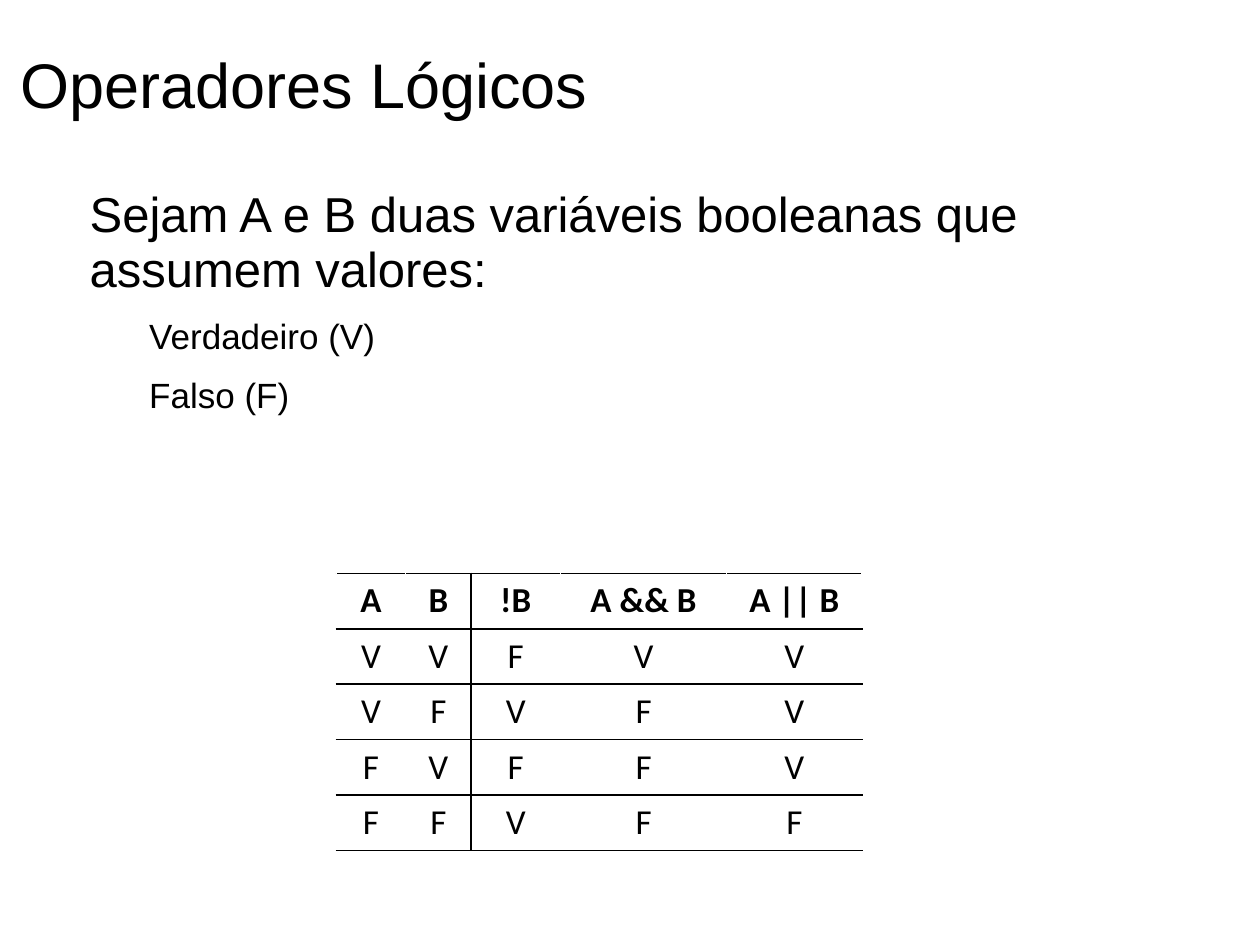
from itertools import product

from lxml import etree
from pptx import Presentation
from pptx.dml.color import RGBColor
from pptx.enum import text as t
from pptx.oxml import ns
from pptx.util import Pt

BLACK = RGBColor(0, 0, 0)
WHITE = RGBColor(255, 255, 255)

# Text, font size, left indent and space before
STATEMENTS = [
    ("Sejam A e B duas variáveis booleanas que assumem valores:", 28, 34, 14.1),
    ("Verdadeiro (V)", 20, 68, 11.3),
    ("Falso (F)", 20, 68, 11.3),
]
HEADERS = ["A", "B", "!B", "A && B", "A || B"]
COLUMN_WIDTHS = [39.6, 37.4, 51.1, 95, 77.4]
ROW_HEIGHT = 31.7
INPUT_COLUMNS = 2


def set_font(paragraph, name, size, bold=False):
    font = paragraph.font
    font.name, font.size, font.bold = name, Pt(size), bold
    font.color.rgb = BLACK


def clear_margins(frame):
    frame.margin_left = frame.margin_top = frame.margin_right = frame.margin_bottom = 0
    frame.word_wrap = True


def add_title(slide, title):
    shape = slide.shapes.title
    shape.left, shape.top, shape.width, shape.height = Pt(11.5), Pt(9.4), Pt(702.7), Pt(76.3)
    frame = shape.text_frame
    clear_margins(frame)
    frame.vertical_anchor = t.MSO_ANCHOR.MIDDLE
    frame.text = title
    paragraph = frame.paragraphs[0]
    paragraph.alignment = t.PP_ALIGN.LEFT
    set_font(paragraph, "Arial", 36)


def add_statements(slide):
    shape = slide.shapes.add_textbox(Pt(17.3), Pt(108), Pt(692), Pt(414))
    frame = shape.text_frame
    clear_margins(frame)
    for index, (words, size, indent, space) in enumerate(STATEMENTS):
        paragraph = frame.add_paragraph() if index else frame.paragraphs[0]
        paragraph.text = words
        paragraph.line_spacing = 0.93
        paragraph.space_before = Pt(space)
        paragraph._p.get_or_add_pPr().set("marL", str(Pt(indent)))
        set_font(paragraph, "Arial", size)


def set_border(cell, side, color):
    properties = cell._tc.get_or_add_tcPr()
    line = etree.SubElement(properties, ns.qn(f"a:ln{side}"), w=str(Pt(0.96)))
    fill = etree.SubElement(line, ns.qn("a:solidFill"))
    etree.SubElement(fill, ns.qn("a:srgbClr"), val=str(color))


def format_cell(cell, words, column, bold):
    cell.text = words
    paragraph = cell.text_frame.paragraphs[0]
    paragraph.alignment = t.PP_ALIGN.CENTER
    set_font(paragraph, "Calibri", 20, bold)
    # Only the rule between inputs and results is a visible vertical;
    # borders come before the fill in the cell properties
    set_border(cell, "L", BLACK if column == INPUT_COLUMNS else WHITE)
    set_border(cell, "R", BLACK if column == INPUT_COLUMNS - 1 else WHITE)
    set_border(cell, "T", BLACK)
    set_border(cell, "B", BLACK)
    cell.fill.solid()
    cell.fill.fore_color.rgb = WHITE


def truth_rows():
    for a, b in product([True, False], repeat=2):
        yield ["V" if value else "F" for value in (a, b, not b, a and b, a or b)]


def add_truth_table(slide):
    rows = [HEADERS, *truth_rows()]
    table = slide.shapes.add_table(
        len(rows), len(HEADERS), Pt(192.2), Pt(327.6),
        Pt(sum(COLUMN_WIDTHS)), Pt(ROW_HEIGHT * len(rows))).table
    table.horz_banding = False
    for column, width in zip(table.columns, COLUMN_WIDTHS):
        column.width = Pt(width)
    for row_index, row in enumerate(rows):
        table.rows[row_index].height = Pt(ROW_HEIGHT)
        for column, words in enumerate(row):
            format_cell(table.cell(row_index, column), words, column, row_index == 0)


def main():
    presentation = Presentation()
    presentation.slide_width, presentation.slide_height = Pt(720), Pt(540)
    slide = presentation.slides.add_slide(presentation.slide_layouts[5])
    add_title(slide, "Operadores Lógicos")
    add_statements(slide)
    add_truth_table(slide)
    presentation.save("out.pptx")


if __name__ == "__main__":
    main()
